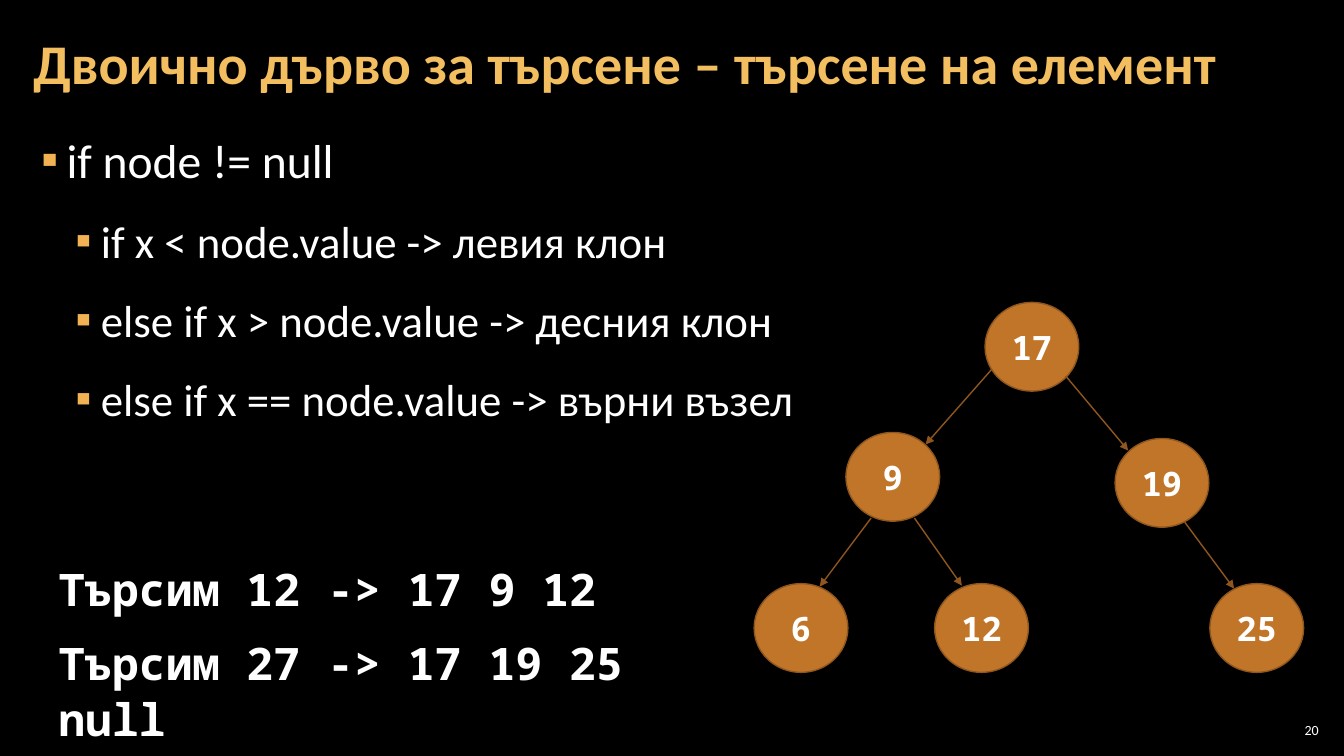
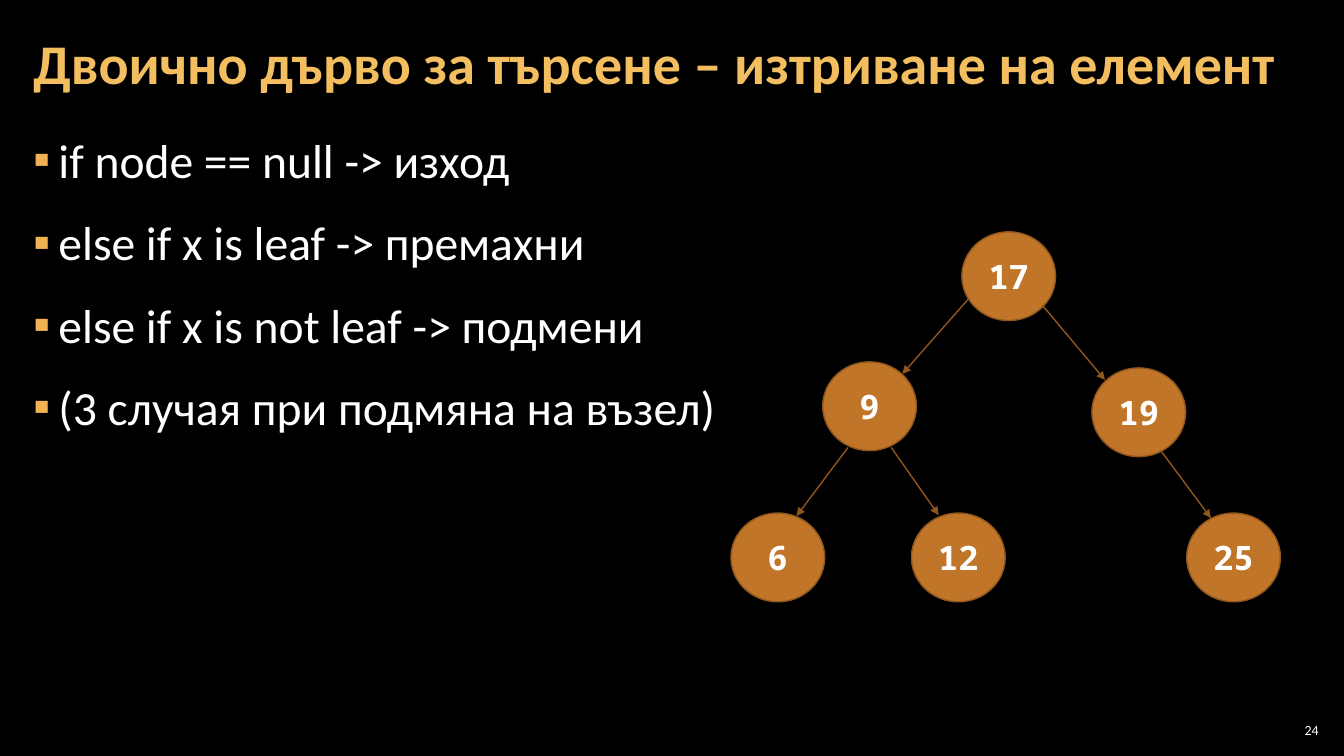
from lxml.etree import SubElement
from pptx import Presentation
from pptx.dml.color import RGBColor
from pptx.enum.shapes import MSO_CONNECTOR, MSO_SHAPE
from pptx.enum.text import MSO_ANCHOR, MSO_AUTO_SIZE, PP_ALIGN
from pptx.oxml.ns import qn
from pptx.util import Inches, Pt

COLORS = {
    "background": "000000",
    "title": "F3BE60",
    "text": "FFFFFF",
    "bullet": "F2B254",
    "node": "C17529",
    "outline": "8F571E",
}
FONTS = {
    "title": {"name": "Calibri", "size": Pt(40), "bold": True},
    "main": {"name": "Calibri", "size": Pt(34)},
    "sub": {"name": "Calibri", "size": Pt(32)},
    "code": {"name": "Noto Sans Mono", "size": Pt(32), "bold": True},
    "node": {"name": "Noto Sans Mono", "size": Pt(24), "bold": True},
    "number": {"name": "Calibri", "size": Pt(10)},
}
HANGING = 0.25
NODE_SIZE = (0.93, 0.88)
TREE_NODES = {
    "17": (2.29, 0),
    "19": (3.58, 1.35),
    "9": (0.91, 1.29),
    "6": (0, 2.79),
    "12": (1.79, 2.79),
    "25": (4.52, 2.79),
}
TREE_EDGES = [
    ((2.36, 0.66), (1.7, 1.41)),
    ((1.16, 2.14), (0.65, 2.82)),
    ((1.59, 2.14), (2.06, 2.81)),
    ((3.09, 0.73), (3.71, 1.47)),
    ((4.27, 2.18), (4.76, 2.84)),
]
SLIDES = [
    {
        "title": "Двоично дърво за търсене – търсене на елемент",
        "bullets": [
            ("if node != null", "main", 0.33),
            ("if x < node.value -> левия клон", "sub", 0.67),
            ("else if x > node.value -> десния клон", "sub", 0.67),
            ("else if x == node.value -> върни възел", "sub", 0.67),
        ],
        "tree": (7.48, 3),
        "traces": ["Търсим 12 -> 17 9 12", "Търсим 27 -> 17 19 25 null"],
        "number": "20",
    },
    {
        "title": "Двоично дърво за търсене – изтриване на елемент",
        "bullets": [
            ("if node == null -> изход", "main", 0.25),
            ("else if x is leaf -> премахни", "main", 0.25),
            ("else if x is not leaf -> подмени", "main", 0.25),
            ("(3 случая при подмяна на възел)", "main", 0.25),
        ],
        "tree": (7.25, 2.3),
        "traces": [],
        "number": "24",
    },
]


def color(role):
    return RGBColor.from_string(COLORS[role])


def apply(target, values):
    for attribute, value in values.items():
        setattr(target, attribute, value)


def set_frame(frame, horizontal, vertical, anchor=MSO_ANCHOR.TOP):
    apply(frame, {
        "word_wrap": True,
        "auto_size": MSO_AUTO_SIZE.NONE,
        "vertical_anchor": anchor,
        "margin_left": Inches(horizontal),
        "margin_right": Inches(horizontal),
        "margin_top": Inches(vertical),
        "margin_bottom": Inches(vertical),
    })


def write(paragraph, text, style, color_role="text", **layout):
    apply(paragraph, layout)
    run = paragraph.add_run()
    run.text = text
    apply(run.font, FONTS[style])
    run.font.color.rgb = color(color_role)


def next_paragraph(frame, index):
    return frame.add_paragraph() if index else frame.paragraphs[0]


def add_text_frame(slide, box, horizontal, vertical, anchor=MSO_ANCHOR.TOP):
    frame = slide.shapes.add_textbox(*map(Inches, box)).text_frame
    set_frame(frame, horizontal, vertical, anchor)
    return frame


def set_bullet(paragraph, indent):
    properties = paragraph._p.get_or_add_pPr()
    properties.set("marL", str(Inches(indent)))
    properties.set("indent", str(-Inches(HANGING)))
    bullet_color = SubElement(properties, qn("a:buClr"))
    SubElement(bullet_color, qn("a:srgbClr"), val=COLORS["bullet"])
    SubElement(properties, qn("a:buFont"), typeface="Calibri")
    SubElement(properties, qn("a:buChar"), char="▪")


def add_title(slide, text):
    title = slide.shapes.title
    apply(title, {"left": Inches(0.21), "top": Inches(0.05),
                  "width": Inches(12.73), "height": Inches(1.21)})
    set_frame(title.text_frame, 0.12, 0.04, MSO_ANCHOR.MIDDLE)
    write(title.text_frame.paragraphs[0], text, "title", "title",
          alignment=PP_ALIGN.LEFT, line_spacing=0.9)


def add_bullets(slide, bullets):
    frame = add_text_frame(slide, (0.21, 1.26, 12.91, 6.09), 0.12, 0.04)
    for index, (text, style, indent) in enumerate(bullets):
        paragraph = next_paragraph(frame, index)
        set_bullet(paragraph, indent)
        write(paragraph, text, style,
              space_before=Pt(12 if index else 0), space_after=Pt(6))


def add_node(shapes, value, left, top):
    node = shapes.add_shape(MSO_SHAPE.OVAL, *map(Inches, (left, top, *NODE_SIZE)))
    node.shadow.inherit = False
    node.fill.solid()
    node.fill.fore_color.rgb = color("node")
    set_outline(node)
    set_frame(node.text_frame, 0.1, 0.05, MSO_ANCHOR.MIDDLE)
    write(node.text_frame.paragraphs[0], value, "node", alignment=PP_ALIGN.CENTER)


def set_outline(shape):
    shape.line.color.rgb = color("outline")
    shape.line.width = Pt(1)


def add_arrow(shapes, start, end):
    arrow = shapes.add_connector(MSO_CONNECTOR.STRAIGHT, *map(Inches, start + end))
    set_outline(arrow)
    SubElement(arrow.line._get_or_add_ln(), qn("a:tailEnd"), type="triangle")
    SubElement(arrow._element.spPr, qn("a:effectLst"))


def add_tree(slide, origin):
    def place(point):
        return origin[0] + point[0], origin[1] + point[1]

    shapes = slide.shapes.add_group_shape().shapes
    for value, position in TREE_NODES.items():
        add_node(shapes, value, *place(position))
    for start, end in TREE_EDGES:
        add_arrow(shapes, place(start), place(end))


def add_traces(slide, traces):
    frame = add_text_frame(slide, (0.48, 5.5, 6.86, 1.4), 0.1, 0.05)
    for index, trace in enumerate(traces):
        write(next_paragraph(frame, index), trace, "code",
              line_spacing=1.05, space_before=Pt(12 if index else 0))


def add_number(slide, number):
    frame = add_text_frame(slide, (12.65, 7.14, 0.47, 0.21), 0.04, 0.04,
                           MSO_ANCHOR.MIDDLE)
    write(frame.paragraphs[0], number, "number", alignment=PP_ALIGN.RIGHT)


def main():
    deck = Presentation()
    apply(deck, {"slide_width": Inches(13.33), "slide_height": Inches(7.5)})
    background = deck.slide_master.background.fill
    background.solid()
    background.fore_color.rgb = color("background")
    for content in SLIDES:
        slide = deck.slides.add_slide(deck.slide_layouts[5])
        add_title(slide, content["title"])
        add_bullets(slide, content["bullets"])
        add_tree(slide, content["tree"])
        if content["traces"]:
            add_traces(slide, content["traces"])
        add_number(slide, content["number"])
    deck.save("out.pptx")


if __name__ == "__main__":
    main()
